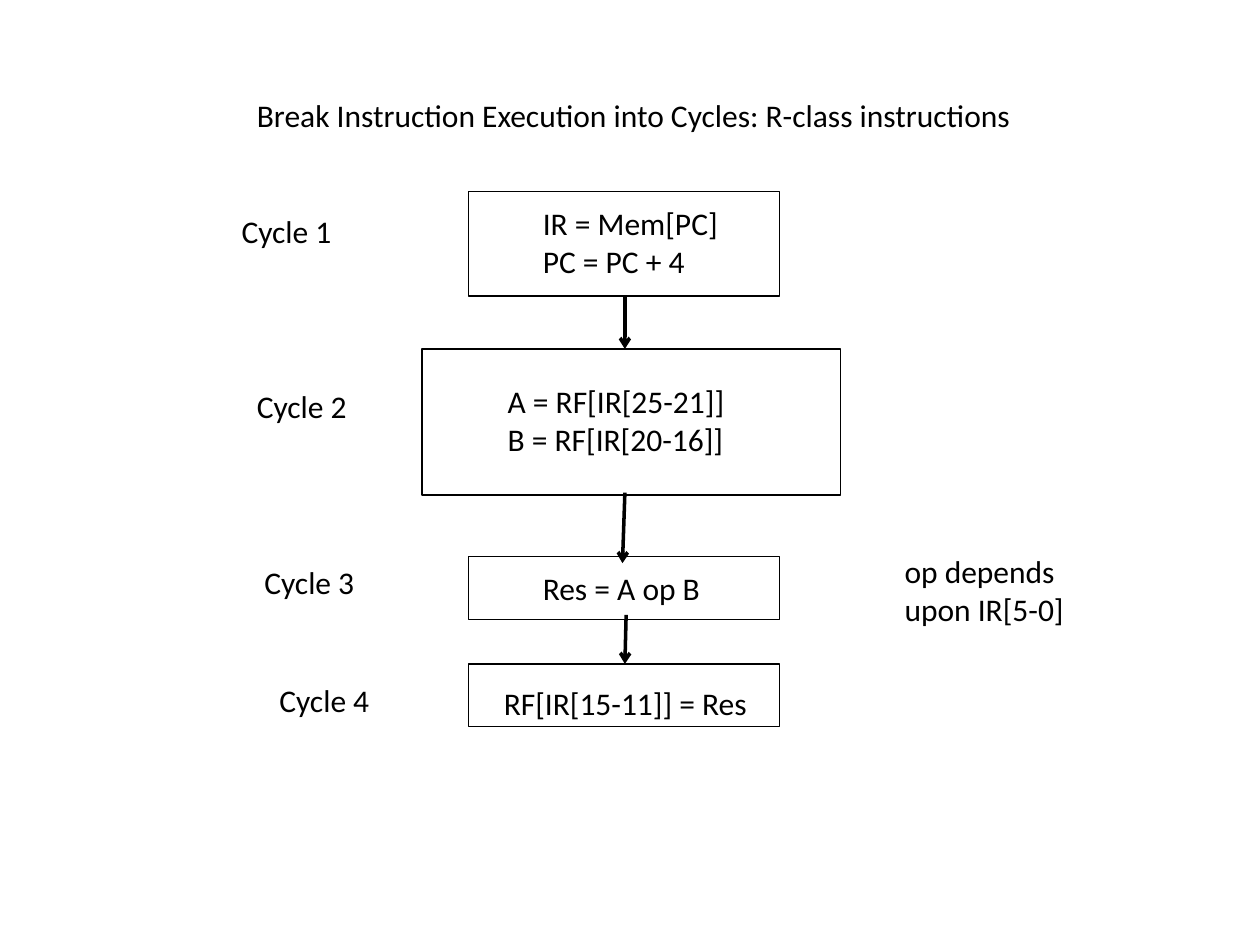
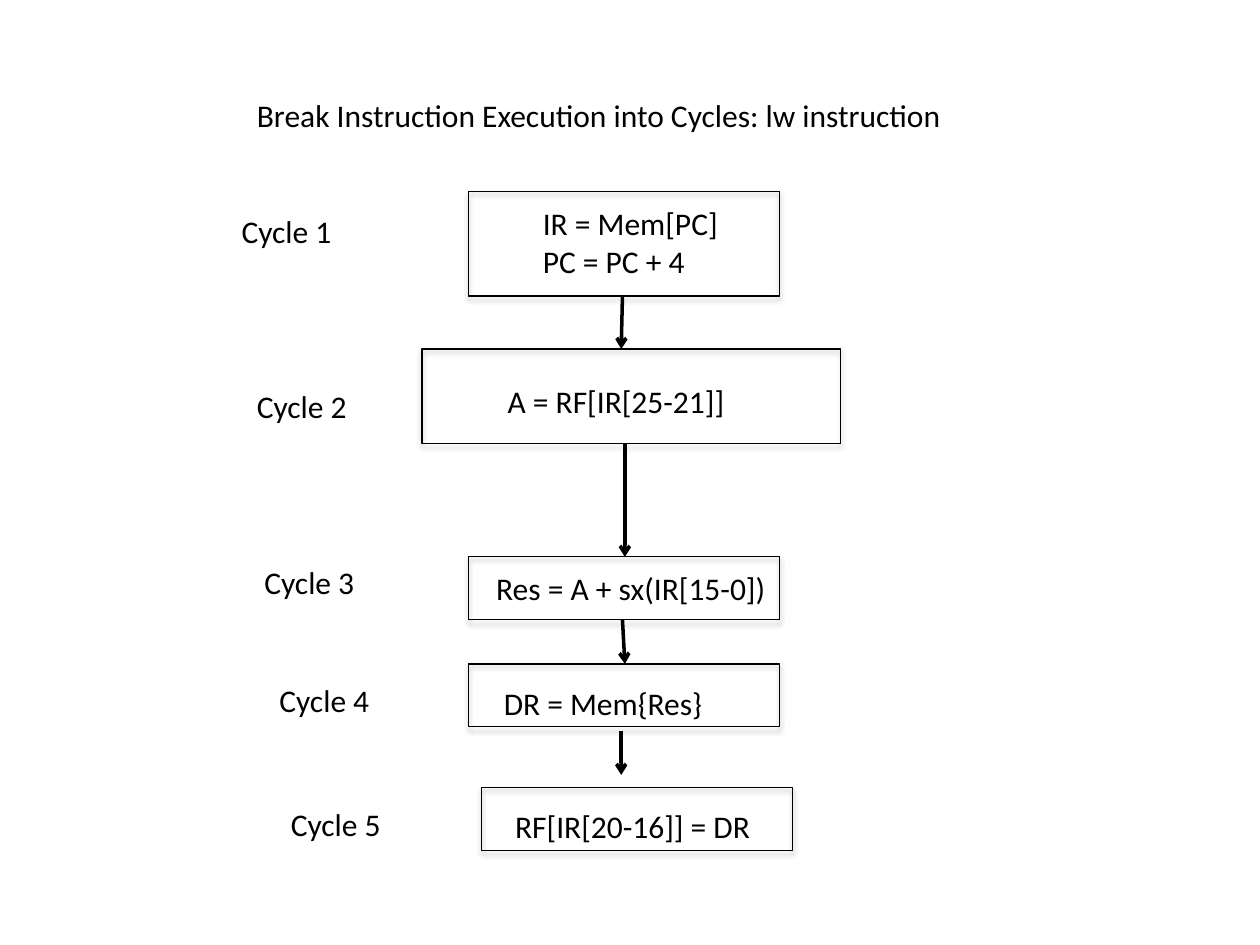
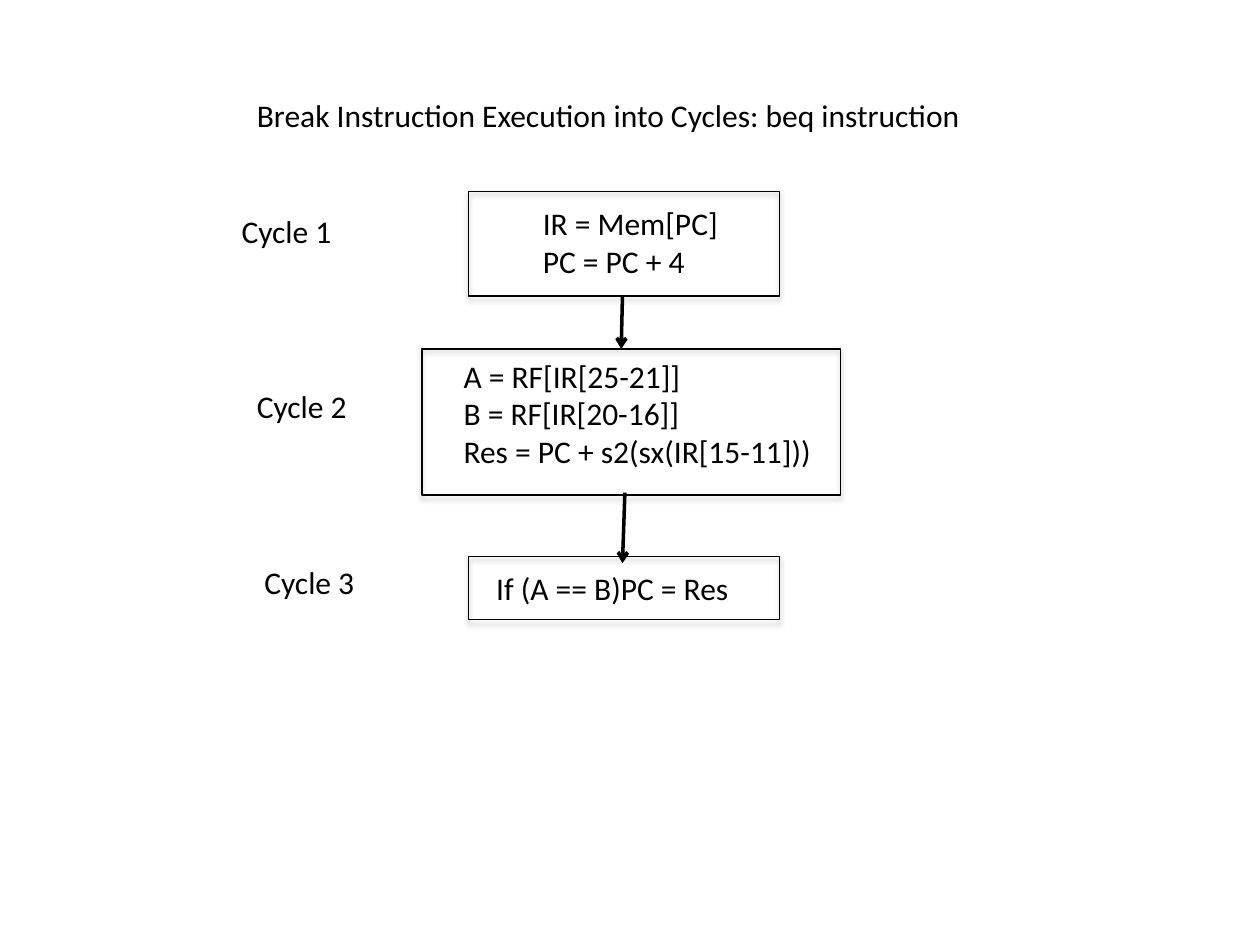
import pptx
import pptx.util
import pptx.dml.color
import pptx.enum.shapes
import pptx.enum.text
import pptx.oxml
import pptx.oxml.ns
from lxml import etree

Pt = pptx.util.Pt
COLOURS = {"ink": "000000"}
FONT, TEXT_SIZE = "Calibri", 18
LINE_HEIGHT, INSETS = 21.6, 7.2
TITLE_START = "Break Instruction Execution into Cycles: "
TITLE_PLACE = (139.7, 51.1, 461.5)
LABEL_WIDTH = 67

# Cycle number: label (left, top), box (left, top, width, height)
CYCLES = {
    1: ((131, 117.4), (267.8, 109.4, 177.8, 59.8)),
    2: ((139.7, 217.4), (241.2, 199.4, 239, 83.5)),
    3: ((144, 318.2), (267.8, 318.2, 177.8, 36)),
    4: ((152.6, 385.9), (267.8, 379.4, 177.8, 36)),
    5: ((159.1, 456.5), (275, 450, 177.8, 36)),
}

# Operations: lines, then left, top and width of the text
FETCH = (["IR = Mem[PC]", "PC = PC + 4"], (303.1, 113, 116))

# Arrows: x and y of the start, x and y of the end
FETCH_TO_DECODE = (355.7, 169.2, 355, 199.4)
DECODE_TO_EXECUTE = (357.1, 281.5, 355.7, 321.8)

INSTRUCTIONS = [
    {
        "title": "R-class instructions",
        "shadow": False,
        "operations": [
            FETCH,
            (["A = RF[IR[25-21]]", "B = RF[IR[20-16]]"], (283, 214.6, 144)),
            (["Res = A op B"], (303.1, 321.8, 105.8)),
            (["RF[IR[15-11]] = Res"], (280.8, 387.4, 155.5)),
        ],
        "notes": [(["op depends", "upon IR[5-0]"], (509.8, 311.8, 106.6))],
        "arrows": [(357.1, 169.2, 357.1, 199.4), DECODE_TO_EXECUTE,
                   (357.8, 351.4, 357.1, 379.4)],
    },
    {
        "title": "lw instruction",
        "shadow": True,
        "heights": {2: 54},
        "operations": [
            FETCH,
            (["A = RF[IR[25-21]]"], (283, 214.6, 139.7)),
            (["Res = A + sx(IR[15-0])"], (276.5, 321.8, 170.6)),
            (["DR = Mem{Res}"], (280.8, 387.4, 129.6)),
            (["RF[IR[20-16]] = DR"], (287.3, 457.9, 151.2)),
        ],
        "arrows": [FETCH_TO_DECODE, (357.1, 253.4, 357.1, 318.2),
                   (355.7, 354.2, 357.1, 379.4), (355, 417.6, 355, 442.8)],
    },
    {
        "title": "beq instruction",
        "shadow": True,
        "operations": [
            FETCH,
            (["A = RF[IR[25-21]]", "B = RF[IR[20-16]]",
              "Res = PC + s2(sx(IR[15-11]))"], (257.8, 200.2, 215.3)),
            (["If (A == B)PC = Res"], (276.5, 321.8, 149)),
        ],
        "arrows": [FETCH_TO_DECODE, DECODE_TO_EXECUTE],
    },
]


def ink():
    """Return the colour of text and lines."""
    return pptx.dml.color.RGBColor.from_string(COLOURS["ink"])


def add_text(slide, lines, place, wrap=False):
    """Add a text box with one paragraph for each line."""
    left, top, width = place
    height = len(lines) * LINE_HEIGHT + INSETS
    frame = slide.shapes.add_textbox(Pt(left), Pt(top), Pt(width), Pt(height)).text_frame
    frame.word_wrap = wrap
    frame.auto_size = pptx.enum.text.MSO_AUTO_SIZE.SHAPE_TO_FIT_TEXT
    for number, line in enumerate(lines):
        paragraph = frame.add_paragraph() if number else frame.paragraphs[0]
        run = paragraph.add_run()
        run.text = line
        run.font.name, run.font.size = FONT, Pt(TEXT_SIZE)
        run.font.color.rgb = ink()


def add_shadow(box):
    """Give a box a soft shadow straight below it."""
    effects = box._element.spPr.find(pptx.oxml.ns.qn("a:effectLst"))
    effects.append(pptx.oxml.parse_xml(
        f'<a:outerShdw {pptx.oxml.ns.nsdecls("a")} blurRad="{Pt(3.15)}" dist="{Pt(1.81)}" '
        f'dir="5400000" rotWithShape="0"><a:srgbClr val="{COLOURS["ink"]}">'
        '<a:alpha val="35000"/></a:srgbClr></a:outerShdw>'))


def add_box(slide, place, shadow):
    """Add the outline of one cycle."""
    box = slide.shapes.add_shape(pptx.enum.shapes.MSO_SHAPE.RECTANGLE, *map(Pt, place))
    box.fill.background()
    box.line.color.rgb, box.line.width = ink(), Pt(0.75)
    box.shadow.inherit = False
    if shadow:
        add_shadow(box)


def add_arrow(slide, ends):
    """Add an arrow from one cycle to the next."""
    arrow = slide.shapes.add_connector(
        pptx.enum.shapes.MSO_CONNECTOR.STRAIGHT, *map(Pt, ends))
    arrow.line.color.rgb, arrow.line.width = ink(), Pt(2)
    qn = pptx.oxml.ns.qn
    etree.SubElement(arrow.line._get_or_add_ln(), qn("a:tailEnd"), type="arrow")
    etree.SubElement(arrow._element.spPr, qn("a:effectLst"))


def add_instruction(deck, instruction):
    """Add the slide that shows the cycles of one instruction."""
    slide = deck.slides.add_slide(deck.slide_layouts[6])
    add_text(slide, [TITLE_START + instruction["title"]], TITLE_PLACE, wrap=True)
    heights = instruction.get("heights", {})
    for cycle, (lines, place) in enumerate(instruction["operations"], 1):
        label_at, (left, top, width, height) = CYCLES[cycle]
        add_box(slide, (left, top, width, heights.get(cycle, height)), instruction["shadow"])
        add_text(slide, lines, place)
        add_text(slide, [f"Cycle {cycle}"], (*label_at, LABEL_WIDTH))
    for lines, place in instruction.get("notes", []):
        add_text(slide, lines, place)
    for ends in instruction["arrows"]:
        add_arrow(slide, ends)


deck = pptx.Presentation()
deck.slide_width, deck.slide_height = Pt(720), Pt(540)
for instruction in INSTRUCTIONS:
    add_instruction(deck, instruction)
deck.save("out.pptx")
